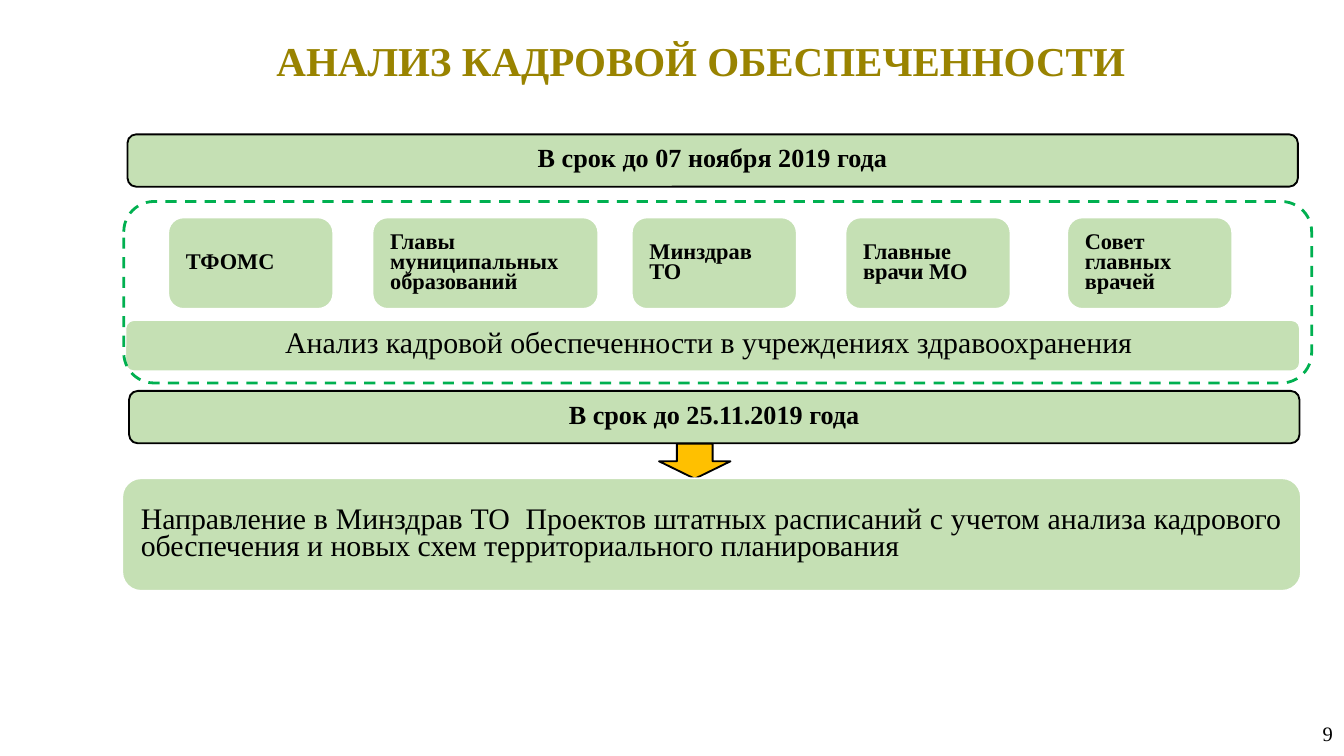
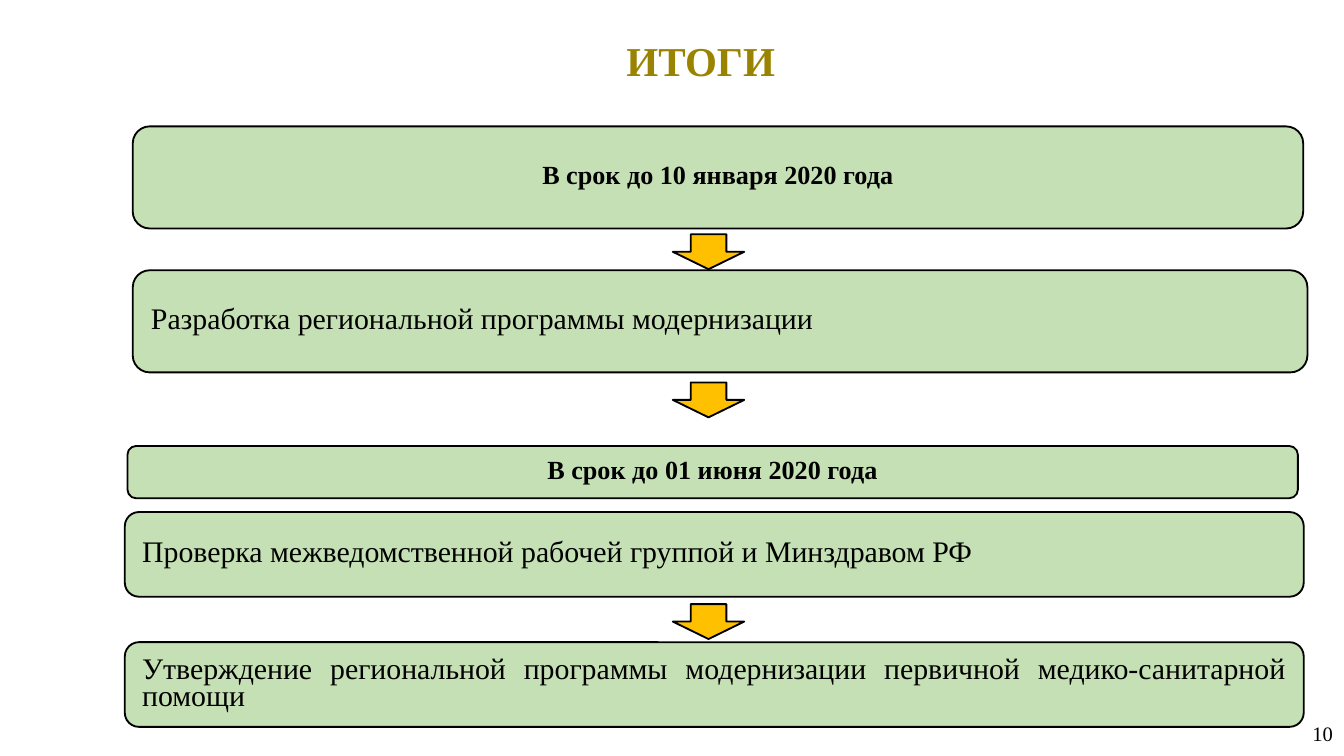
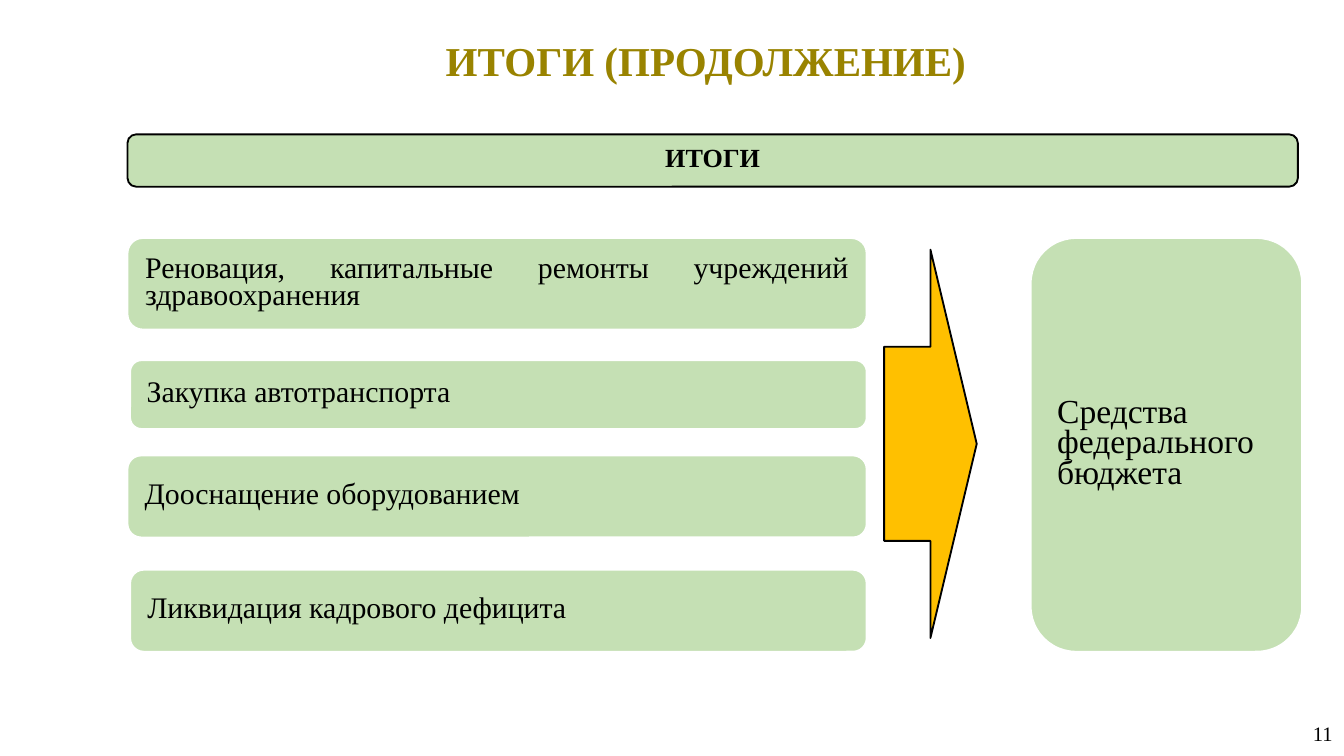
from collections import namedtuple

from lxml.etree import SubElement
from pptx import Presentation
from pptx.dml.color import RGBColor as Rgb
from pptx.enum.dml import MSO_LINE as Dash
from pptx.enum.shapes import MSO_SHAPE as Form
from pptx.enum.text import MSO_ANCHOR as Anchor, MSO_AUTO_SIZE as Fit, PP_ALIGN as Align
from pptx.util import Cm, Pt

FONT = "Times New Roman"
HUES = {
    "gold": "998300",
    "green": "C5E0B4",
    "edge": "00B050",
    "amber": "FFC000",
    "black": "000000",
    "white": "FFFFFF",
}
Box = namedtuple("Box", "x y w h")

TITLE = Box(2.57, 0.33, 21.54, 1.73)
NUMBER = Box(21.08, 13.49, 4.29, 0.76)
BAND_W, BAND_H = 22.12, 0.99
TOP = Box(2.41, 2.54, BAND_W, BAND_H)


def hue(name):
    return Rgb.from_string(HUES[name])


def place(box):
    return [Cm(side) for side in box]


def within(box, x, y, w, h):
    """Turn an offset inside a box into a box on the slide."""
    return Box(box.x + x, box.y + y, w, h)


def write(frame, text, size=16, bold=False, color="black", align=Align.JUSTIFY,
          pitch=0.75, inset=None):
    frame.word_wrap = True
    frame.auto_size = Fit.NONE
    frame.vertical_anchor = Anchor.MIDDLE
    if inset:
        frame.margin_left = frame.margin_right = Cm(inset[0])
        frame.margin_top = frame.margin_bottom = Cm(inset[1])
    para = frame.paragraphs[0]
    para.alignment = align
    para.line_spacing = pitch
    para.space_before = Pt(0)
    run = para.add_run()
    run.text = text
    font = run.font
    font.name, font.size, font.bold = FONT, Pt(size), bold
    font.color.rgb = hue(color)


def draw(slide, form, box, fill=None, line="black", width=1):
    shape = slide.shapes.add_shape(form, *place(box))
    shape.shadow.inherit = False
    if fill:
        shape.fill.solid()
        shape.fill.fore_color.rgb = hue(fill)
    else:
        shape.fill.background()
    shape.line.color.rgb = hue(line)
    shape.line.width = Pt(width)
    return shape


def card(slide, box, text, line="white", **style):
    shape = draw(slide, Form.ROUNDED_RECTANGLE, box, "green", line)
    write(shape.text_frame, text, **style)


def band(slide, box, text):
    card(slide, box, text, line="black", size=14, bold=True, align=Align.CENTER)


def arrow(slide, mid, top):
    """Draw a small arrow pointing down, centred on mid."""
    long, wide = 0.66, 1.35
    box = Box(mid - long / 2, top + (long - wide) / 2, long, wide)
    draw(slide, Form.RIGHT_ARROW, box, "amber").rotation = 90


def start(deck, title, number):
    slide = deck.slides.add_slide(deck.slide_layouts[5])
    head = slide.shapes.title
    head.left, head.top, head.width, head.height = place(TITLE)
    inset = (0.18, 0.1)
    write(head.text_frame, title, size=22, bold=True, color="gold",
          align=Align.CENTER, pitch=0.9, inset=inset)
    note = slide.shapes.add_textbox(*place(NUMBER))
    write(note.text_frame, str(number), size=11, align=Align.RIGHT,
          pitch=1.0, inset=inset)
    return slide


def panel(slide, box):
    """Draw the dashed frame with the bodies in charge and their task."""
    card(slide, within(box, 0.03, 2.24, 22.2, 0.97),
         "Анализ кадровой обеспеченности в учреждениях здравоохранения ",
         align=Align.CENTER)
    frame = draw(slide, Form.ROUNDED_RECTANGLE, box, line="edge", width=1.5)
    frame.line.dash_style = Dash.DASH
    bodies = [
        (0.84, 3.12, "ТФОМС"),
        (4.7, 4.27, "Главы муниципальных образований"),
        (9.6, 3.12, "Минздрав ТО"),
        (13.64, 3.12, "Главные врачи МО"),
        (17.83, 3.12, "Совет главных врачей"),
    ]
    for x, w, text in bodies:
        card(slide, within(box, x, 0.3, w, 1.73), text, size=12, bold=True)


def works(slide, box):
    """Draw the list of works, every second card slightly indented."""
    rows = [
        (0, 1.73, "Реновация, капитальные ремонты учреждений здравоохранения"),
        (2.31, 1.3, "Закупка автотранспорта"),
        (4.11, 1.55, "Дооснащение оборудованием"),
        (6.27, 1.55, "Ликвидация кадрового дефицита"),
    ]
    for i, (y, h, text) in enumerate(rows):
        dent = 0.05 * (i % 2)
        card(slide, within(box, dent, y, box.w - dent, h), text)


def staff(deck, number):
    slide = start(deck, "АНАЛИЗ КАДРОВОЙ ОБЕСПЕЧЕННОСТИ ", number)
    band(slide, TOP, "В срок до 07 ноября 2019 года")
    panel(slide, Box(2.34, 3.81, 22.45, 3.43))
    band(slide, Box(2.44, 7.39, BAND_W, BAND_H), "В срок до 25.11.2019 года")
    arrow(slide, 13.13, 8.39)
    card(slide, Box(2.31, 9.04, 22.28, 2.13),
         "Направление в Минздрав ТО  Проектов штатных расписаний с учетом "
         "анализа кадрового обеспечения и новых схем территориального планирования")


def results(deck, number):
    slide = start(deck, "ИТОГИ ", number)
    band(slide, Box(2.51, 2.39, BAND_W, 1.93), "В срок до 10 января 2020 года")
    band(slide, Box(2.41, 8.43, BAND_W, BAND_H), "В срок до 01 июня 2020 года")
    steps = [
        (Box(2.51, 5.11, 22.2, 1.93), "Разработка региональной программы модернизации"),
        (Box(2.36, 9.68, 22.28, 1.6),
         "Проверка межведомственной рабочей группой и Минздравом РФ "),
        (Box(2.36, 12.14, 22.28, 1.6),
         "Утверждение региональной программы модернизации первичной "
         "медико-санитарной помощи"),
    ]
    for box, text in steps:
        card(slide, box, text, line="black")
    for top in (4.43, 7.23, 11.42):
        arrow(slide, 13.39, top)


def funds(deck, number):
    slide = start(deck, "ИТОГИ (ПРОДОЛЖЕНИЕ)", number)
    band(slide, TOP, "ИТОГИ")
    works(slide, Box(2.41, 4.5, 13.97, 7.82))
    draw(slide, Form.RIGHT_ARROW, Box(16.71, 4.72, 1.75, 7.34), "amber")
    card(slide, Box(19.48, 4.5, 5.13, 7.82), "Средства федерального бюджета", size=18)


def main():
    deck = Presentation()
    deck.slide_width, deck.slide_height = Cm(25.4), Cm(14.29)
    for number, build in enumerate((staff, results, funds), start=9):
        build(deck, number)
    deck.save("out.pptx")


if __name__ == "__main__":
    main()
